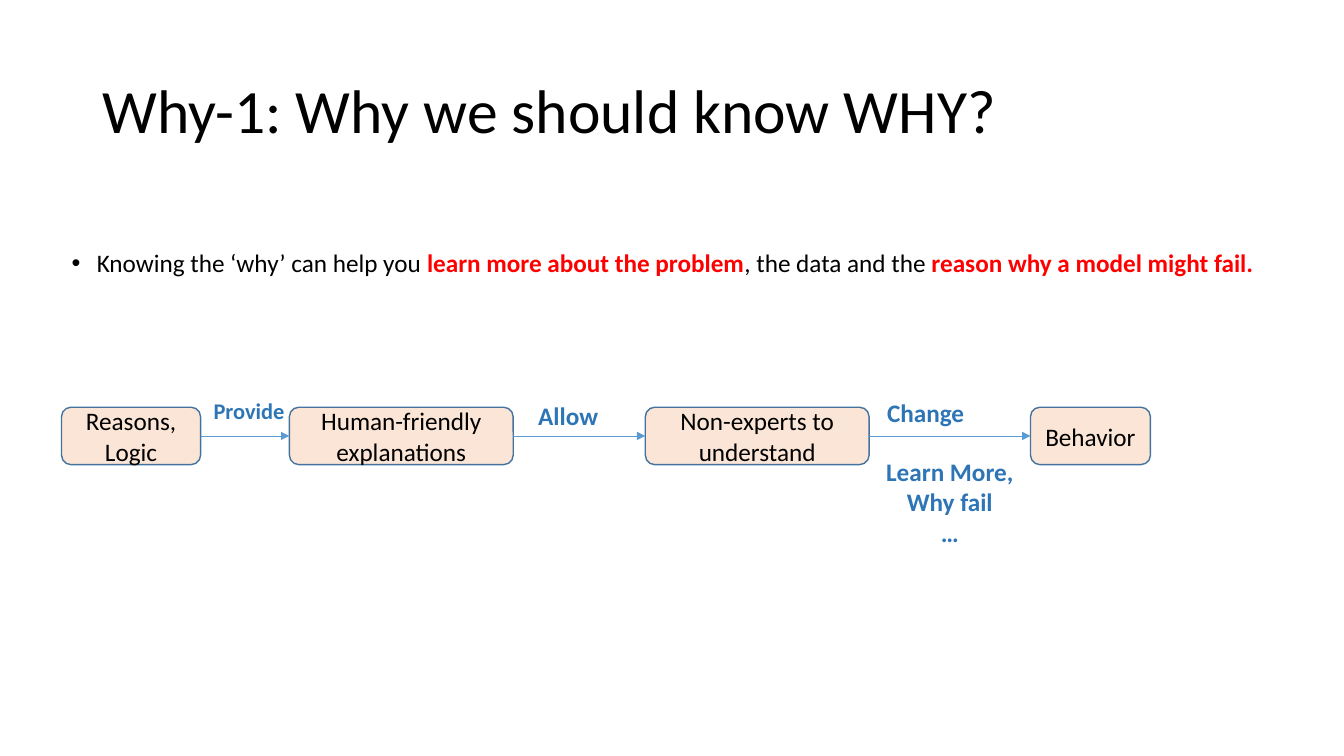
from lxml import etree
from pptx import Presentation
from pptx.dml.color import RGBColor
from pptx.enum.shapes import MSO_CONNECTOR, MSO_SHAPE
from pptx.enum.text import MSO_ANCHOR, MSO_AUTO_SIZE, PP_ALIGN
from pptx.oxml.ns import qn
from pptx.util import Pt

ROUNDED, STRAIGHT = MSO_SHAPE.ROUNDED_RECTANGLE, MSO_CONNECTOR.STRAIGHT
MIDDLE, TOP = MSO_ANCHOR.MIDDLE, MSO_ANCHOR.TOP
LEFT, CENTER = PP_ALIGN.LEFT, PP_ALIGN.CENTER
NO_FIT, GROW = MSO_AUTO_SIZE.NONE, MSO_AUTO_SIZE.SHAPE_TO_FIT_TEXT
LEFT_SITE, RIGHT_SITE = 1, 3

FONT = "Calibri"
BLACK, RED, BLUE = "000000", "FF0000", "2E75B6"
PEACH, BORDER, ARROW = "FBE5D6", "43739E", "5B9BD5"
BOX_H = 57

# left offset, width, lines
STEPS = [
    (0, 138, ["Reasons,", "Logic"]),
    (226, 222, ["Human-friendly", "explanations"]),
    (579, 222, ["Non-experts to understand"]),
    (961, 119, ["Behavior"]),
]
# left offset, top offset, width, height, size, wrap, alignment, lines
LABELS = [
    (141, -15, 96, 37, 16, True, LEFT, ["Provide"]),
    (463, -12, 80, 40, 18, False, LEFT, ["Allow"]),
    (809, -15, 97, 40, 18, False, LEFT, ["Change"]),
    (807, 44, 148, 101, 18, False, CENTER, ["Learn More,", "Why fail", "…"]),
]


def px(n):
    """100 px to the inch."""
    return n * 9144


def rgb(code):
    return RGBColor.from_string(code)


def place(sp, x, y, w, h):
    sp.left, sp.top, sp.width, sp.height = px(x), px(y), px(w), px(h)


def add_run(p, text, size, color, bold=False):
    r = p.add_run()
    r.text = text
    r.font.name, r.font.size, r.font.bold = FONT, Pt(size), bold
    r.font.color.rgb = rgb(color)


def add_lines(tf, lines, size, color, align, bold=False):
    for i, line in enumerate(lines):
        p = tf.add_paragraph() if i else tf.paragraphs[0]
        p.alignment = align
        add_run(p, line, size, color, bold)


def fill_title(slide, x, y, w, h):
    sp = slide.shapes.title
    place(sp, x, y, w, h)
    tf = sp.text_frame
    tf.auto_size, tf.vertical_anchor = NO_FIT, MIDDLE
    add_lines(tf, ["Why-1: Why we should know WHY?"], 44, BLACK, LEFT)
    tf.paragraphs[0].line_spacing = 0.9


def fill_body(slide, x, y, w, h):
    sp = slide.placeholders[1]
    place(sp, x, y, w, h)
    tf = sp.text_frame
    tf.auto_size, tf.vertical_anchor = NO_FIT, TOP
    p = tf.paragraphs[0]
    p.line_spacing, p.space_before = 0.9, Pt(10)
    pPr = p._p.get_or_add_pPr()
    pPr.set("marL", str(px(25)))
    pPr.set("indent", str(px(-25)))
    etree.SubElement(pPr, qn("a:buFont"), typeface="Arial")
    etree.SubElement(pPr, qn("a:buChar"), char="•")
    add_run(p, "Knowing the ‘why’ can help you ", 18, BLACK)
    add_run(p, "learn more about the problem", 18, RED, True)
    add_run(p, ", the data and the ", 18, BLACK)
    add_run(p, "reason why a model might fail.", 18, RED, True)


def add_step(slide, x, y, w, h, lines):
    sp = slide.shapes.add_shape(ROUNDED, px(x), px(y), px(w), px(h))
    sp.shadow.inherit = False
    sp.fill.solid()
    sp.fill.fore_color.rgb = rgb(PEACH)
    sp.line.color.rgb = rgb(BORDER)
    sp.line.width = Pt(1)
    tf = sp.text_frame
    tf.word_wrap, tf.vertical_anchor = True, MIDDLE
    add_lines(tf, lines, 18, BLACK, CENTER)
    return sp


def add_arrow(slide, start, end):
    cn = slide.shapes.add_connector(STRAIGHT, 0, 0, 0, 0)
    cn.begin_connect(start, RIGHT_SITE)
    cn.end_connect(end, LEFT_SITE)
    cn.line.color.rgb = rgb(ARROW)
    cn.line.width = Pt(0.5)
    etree.SubElement(cn.line._get_or_add_ln(), qn("a:tailEnd"), type="triangle")
    etree.SubElement(cn._element.spPr, qn("a:effectLst"))


def add_label(slide, x, y, w, h, size, wrap, align, lines):
    tf = slide.shapes.add_textbox(px(x), px(y), px(w), px(h)).text_frame
    tf.word_wrap, tf.auto_size = wrap, GROW
    add_lines(tf, lines, size, BLUE, align, True)


def add_flow(slide, x, y):
    # Boxes
    boxes = [add_step(slide, x + dx, y, w, BOX_H, lines) for dx, w, lines in STEPS]
    # Arrows between neighbours
    for start, end in zip(boxes, boxes[1:]):
        add_arrow(slide, start, end)
    # Arrow labels
    for dx, dy, *rest in LABELS:
        add_label(slide, x + dx, y + dy, *rest)


def main():
    prs = Presentation()
    prs.slide_width, prs.slide_height = px(1333), px(750)
    slide = prs.slides.add_slide(prs.slide_layouts[1])
    fill_title(slide, 92, 40, 1150, 145)
    fill_body(slide, 61, 244, 1220, 98)
    add_flow(slide, 61, 404)
    prs.save("out.pptx")


if __name__ == "__main__":
    main()
